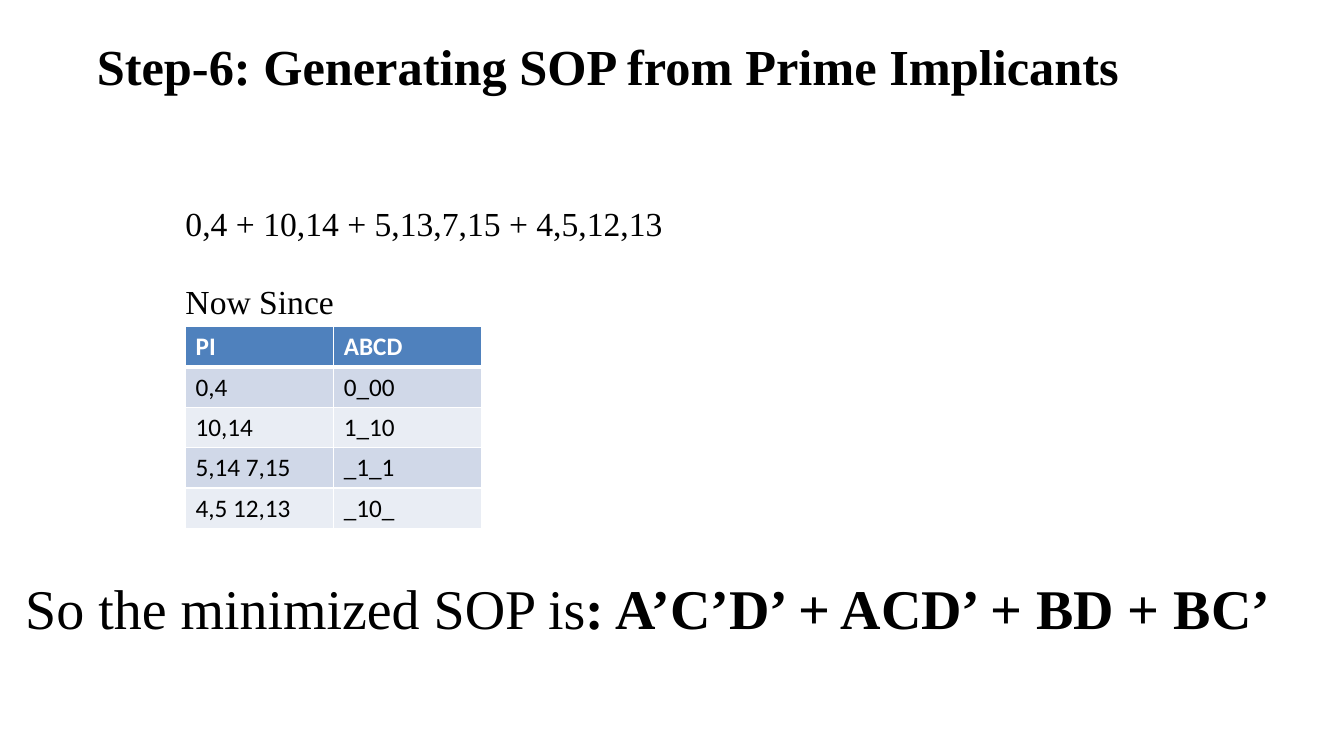
from lxml.etree import SubElement
from pptx import Presentation
from pptx.dml.color import RGBColor
from pptx.enum.text import MSO_ANCHOR as Anchor, PP_ALIGN as Align
from pptx.oxml.ns import qn
from pptx.util import Inches, Pt

SERIF = "Times New Roman"
BLACK, WHITE, BLUE = "000000", "FFFFFF", "4F81BD"
BANDS = ("D0D8E8", "E9EDF4")
IMPLICANTS = [
    ("PI", "ABCD"),
    ("0,4", "0_00"),
    ("10,14", "1_10"),
    ("5,14 7,15", "_1_1"),
    ("4,5 12,13", "_10_"),
]


def color(hex_code):
    return RGBColor.from_string(hex_code)


def style(span, size, bold=False, name=SERIF, hex_code=BLACK):
    span.font.name = name
    span.font.size = Pt(size)
    span.font.bold = bold
    span.font.color.rgb = color(hex_code)


def prepare_frame(box, left_inset=0):
    frame = box.text_frame
    frame.word_wrap = True
    frame.vertical_anchor = Anchor.TOP
    frame.margin_left = Inches(left_inset)
    frame.margin_right = frame.margin_top = frame.margin_bottom = 0
    return frame


def set_spacing(para, line, before=0):
    para.alignment = Align.LEFT
    para.line_spacing = Pt(line)
    para.space_before = Pt(before)


def add_title(page, text):
    title = page.shapes.title
    title.left, title.top = Inches(0.74), Inches(0.43)
    title.width, title.height = Inches(11.75), Inches(0.52)
    frame = prepare_frame(title, left_inset=0.22)
    frame.text = text
    para = frame.paragraphs[0]
    set_spacing(para, 37.3)
    style(para.runs[0], 36, bold=True)


def add_text(page, left, top, width, height, lines, size):
    """Each line is a list of (text, bold) spans."""
    box = page.shapes.add_textbox(
        Inches(left), Inches(top), Inches(width), Inches(height))
    frame = prepare_frame(box)
    for index, spans in enumerate(lines):
        para = frame.add_paragraph() if index else frame.paragraphs[0]
        set_spacing(para, 33.5, before=22.1 if index else 0)
        for text, bold in spans:
            span = para.add_run()
            span.text = text
            style(span, size, bold)


def add_borders(cell, bottom):
    properties = cell._tc.get_or_add_tcPr()
    for side, width in (("L", 1), ("R", 1), ("T", 1), ("B", bottom)):
        line = SubElement(properties, qn(f"a:ln{side}"), w=str(Pt(width)))
        fill = SubElement(line, qn("a:solidFill"))
        SubElement(fill, qn("a:srgbClr"), val=WHITE)


def add_implicant_table(page, rows):
    table = page.shapes.add_table(
        len(rows), len(rows[0]),
        Inches(1.84), Inches(3.24), Inches(2.94), Inches(2)).table
    for row, texts in enumerate(rows):
        header = row == 0
        for column, text in enumerate(texts):
            cell = table.cell(row, column)
            cell.text = text
            style(cell.text_frame.paragraphs[0].runs[0], 18, header,
                  "Calibri", WHITE if header else BLACK)
            # Neighbouring cells share the thick line under the header
            add_borders(cell, bottom=3 if header else 1)
            if row == 1:
                cell._tc.tcPr.find(qn("a:lnT")).set("w", str(Pt(3)))
            cell.fill.solid()
            cell.fill.fore_color.rgb = color(
                BLUE if header else BANDS[(row - 1) % 2])


def main():
    deck = Presentation()
    deck.slide_width, deck.slide_height = Inches(13.33), Inches(7.5)
    page = deck.slides.add_slide(deck.slide_layouts.get_by_name("Title Only"))

    # Heading and chosen implicants
    add_title(page, "Step-6: Generating SOP from Prime Implicants")
    add_text(page, 1.84, 1.95, 10.9, 1.23,
             [[("0,4 + 10,14 + 5,13,7,15 + 4,5,12,13", False)],
              [("Now Since", False)]], 24)

    # Result
    add_text(page, 0.25, 5.89, 12.9, 0.46,
             [[("So the minimized SOP is", False),
               (": A’C’D’ + ACD’ + BD + BC’", True)]], 40)

    # Implicants with their bit patterns
    add_implicant_table(page, IMPLICANTS)
    deck.save("out.pptx")


if __name__ == "__main__":
    main()
